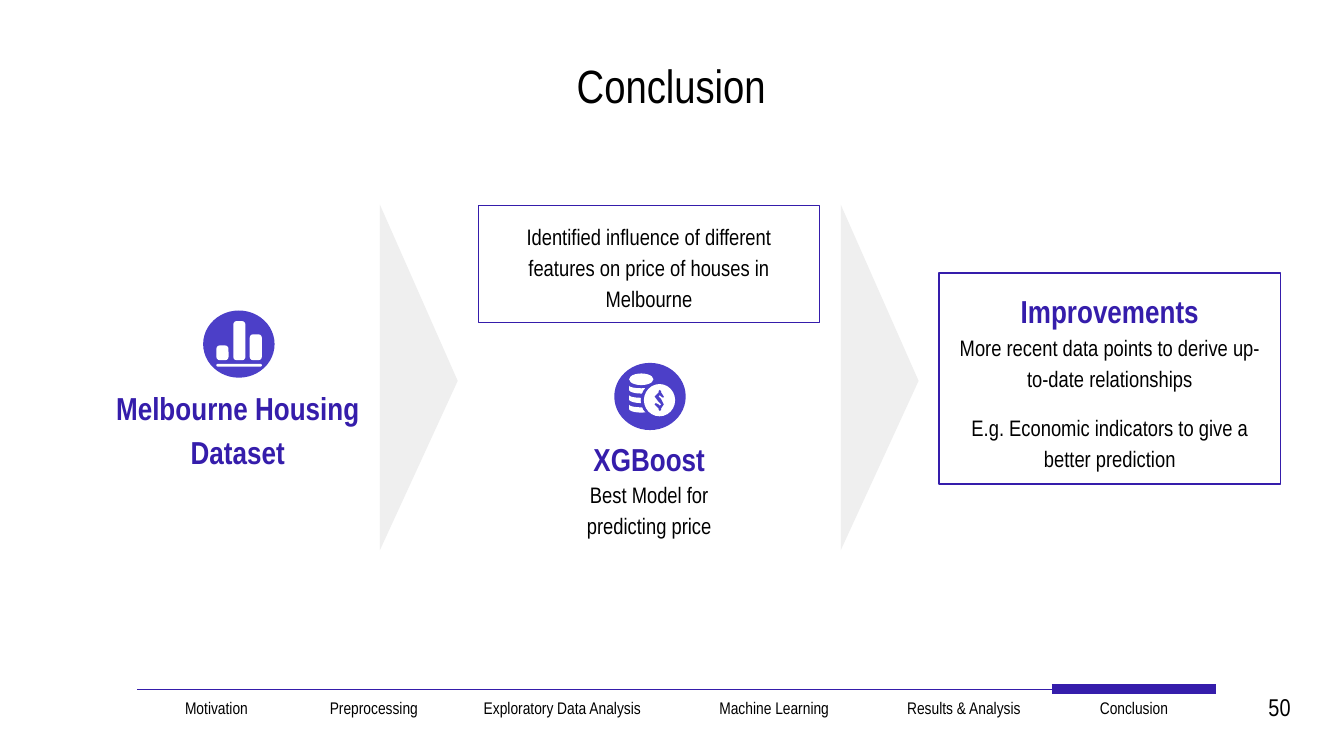
"""Build the conclusion slide with its three-step flow and section navigation."""
from dataclasses import dataclass
from math import cos, pi, sin

from lxml.etree import fromstring
from pptx import Presentation
from pptx.dml.color import RGBColor
from pptx.enum.shapes import MSO_SHAPE
from pptx.enum.text import MSO_ANCHOR, PP_ALIGN
from pptx.util import Cm, Pt


@dataclass(frozen=True)
class Theme:
    font: str = "Arial Narrow"
    ink: str = "000000"
    accent: str = "351DAB"
    icon: str = "4C3FC8"
    white: str = "FFFFFF"
    arrow: str = "EFEFEF"
    title: int = 25
    heading: int = 17
    number: int = 13
    body: int = 12
    nav: int = 9
    spacing: float = 1.15


theme = Theme()


def add_shape(shapes, kind, at, fill=None, line=None):
    """Add a preset shape at a frame given in centimetres."""
    sp = shapes.add_shape(kind, *[Cm(v) for v in at])
    sp.shadow.inherit = False
    if fill:
        sp.fill.solid()
        sp.fill.fore_color.rgb = RGBColor.from_string(fill)
    else:
        sp.fill.background()
    if line:
        sp.line.color.rgb = RGBColor.from_string(line)
        sp.line.width = Pt(0.75)
    else:
        sp.line.fill.background()
    return sp


def write(tf, lines, align=PP_ALIGN.CENTER, spacing=1.0, anchor=MSO_ANCHOR.TOP):
    """Fill a text frame from (text, size, heading, before, after) lines."""
    tf.word_wrap = True
    tf.vertical_anchor = anchor
    tf.margin_left = tf.margin_right = tf.margin_top = tf.margin_bottom = Cm(0.25)
    for i, (text, size, heading, before, after) in enumerate(lines):
        p = tf.add_paragraph() if i else tf.paragraphs[0]
        p.alignment = align
        p.line_spacing = spacing
        p.space_before, p.space_after = Pt(before), Pt(after)
        r = p.add_run()
        r.text = text
        r.font.name = theme.font
        r.font.size = Pt(size)
        r.font.bold = heading
        r.font.color.rgb = RGBColor.from_string(theme.accent if heading else theme.ink)


prs = Presentation()
prs.slide_width, prs.slide_height = Cm(25.4), Cm(14.29)
s = prs.slides.add_slide(prs.slide_layouts[5])

title = s.shapes.title
title.left, title.top, title.width, title.height = Cm(1.42), Cm(0.81), Cm(22.53), Cm(1.6)
write(title.text_frame, [("Conclusion", theme.title, False, 0, 0)], anchor=MSO_ANCHOR.MIDDLE)

sections = [
    ("Motivation", 3.0), ("Preprocessing", 2.95), ("Exploratory Data Analysis", 4.17),
    ("Machine Learning", 3.84), ("Results & Analysis", 3.33), ("Conclusion", 3.1),
]
total = sum(width for _, width in sections)
nav = s.shapes.add_table(1, len(sections), Cm(2.59), Cm(13.03), Cm(total), Cm(1.27)).table
nav.first_row = nav.horz_banding = False
ns = 'xmlns:a="http://schemas.openxmlformats.org/drawingml/2006/main"'
for i, (name, width) in enumerate(sections):
    nav.columns[i].width = Cm(width)
    cell = nav.cell(0, i)
    cell.margin_left = cell.margin_right = cell.margin_top = cell.margin_bottom = Cm(0.25)
    cell.fill.background()
    write(cell.text_frame, [(name, theme.nav, False, 0, 0)])
    weight = Pt(6) if name == "Conclusion" else Pt(0.75)
    color = f'<a:solidFill><a:srgbClr val="{theme.accent}"/></a:solidFill>'
    for j, side in enumerate("LRTB"):
        paint = color if side == "T" else "<a:noFill/>"
        border = fromstring(f'<a:ln{side} {ns} w="{int(weight)}">{paint}</a:ln{side}>')
        cell._tc.get_or_add_tcPr().insert(j, border)

number = s.shapes.add_textbox(Cm(23.5), Cm(12.83), Cm(1.14), Cm(1.27))
write(number.text_frame, [("50", theme.number, False, 0, 0)], align=PP_ALIGN.RIGHT)

finding = add_shape(s.shapes, MSO_SHAPE.RECTANGLE, (9.04, 3.89, 6.45, 2.21), line=theme.accent)
write(finding.text_frame, [
    ("Identified influence of different features on price of houses in Melbourne",
     theme.body, False, 0, 10),
], spacing=theme.spacing)

model = s.shapes.add_group_shape().shapes
tb = model.add_textbox(Cm(10.57), Cm(7.95), Cm(3.4), Cm(2.46))
write(tb.text_frame, [
    ("XGBoost", theme.heading, True, 0, 0),
    ("Best Model for predicting price", theme.body, False, 0, 0),
], spacing=theme.spacing)
add_shape(model, MSO_SHAPE.OVAL, (11.61, 6.86, 1.35, 1.27), theme.icon)

angles = [pi * k / 16 for k in range(17)]
outlines = []
for top in (7.29, 7.47, 7.65):
    upper = [(12.12 - 0.23 * cos(a), top + 0.05 * sin(a)) for a in angles]
    lower = [(12.12 + 0.23 * cos(a), top + 0.08 + 0.07 * sin(a)) for a in angles]
    outlines.append((upper + lower, theme.white))
dollar = [
    (0, -8), (1, -7), (1, -6), (3, -3), (2.5, -2), (1, -3), (0, -4), (-1, -3),
    (1, -1), (3, 3), (1, 6), (1, 7), (0, 8), (-1, 7), (-1, 6), (-4, 3),
    (-3, 2), (-1, 3), (0, 4), (1, 3), (-1, 1), (-4, -3), (-1, -6), (-1, -7),
]
outlines.append(([(12.47 + x / 40, 7.57 + y / 40) for x, y in dollar], theme.icon))
for points, color in outlines:
    if color == theme.icon:
        add_shape(model, MSO_SHAPE.OVAL, (12.11, 7.21, 0.71, 0.71), theme.icon)
        add_shape(model, MSO_SHAPE.OVAL, (12.17, 7.26, 0.59, 0.61), theme.white)
        add_shape(model, MSO_SHAPE.OVAL, (11.89, 7.06, 0.46, 0.22), theme.white)
    start, *rest = [(Cm(x), Cm(y)) for x, y in points]
    builder = model.build_freeform(*start)
    builder.add_line_segments(rest, close=True)
    sp = builder.convert_to_shape()
    sp.shadow.inherit = False
    sp.fill.solid()
    sp.fill.fore_color.rgb = RGBColor.from_string(color)
    sp.line.fill.background()

for left in (4.65, 13.36):
    arrow = add_shape(s.shapes, MSO_SHAPE.ISOSCELES_TRIANGLE, (left, 6.4, 6.53, 1.47), theme.arrow)
    arrow.rotation = 90
    arrow.adjustments[0] = 0.51

dataset = s.shapes.add_group_shape().shapes
add_shape(dataset, MSO_SHAPE.OVAL, (3.84, 5.87, 1.35, 1.27), theme.icon)
base = add_shape(dataset, MSO_SHAPE.ROUNDED_RECTANGLE, (4.09, 6.88, 0.86, 0.05), theme.white)
base.adjustments[0] = 0.5
for left, height in ((4.09, 0.28), (4.41, 0.74), (4.72, 0.49)):
    bar = add_shape(dataset, MSO_SHAPE.ROUNDED_RECTANGLE,
                    (left, 6.81 - height, 0.23, height), theme.white)
    bar.adjustments[0] = 0.28
tb = dataset.add_textbox(Cm(1.42), Cm(6.99), Cm(6.15), Cm(2.08))
write(tb.text_frame, [("Melbourne Housing Dataset", theme.heading, True, 0, 0)],
      spacing=theme.spacing)

future = add_shape(s.shapes, MSO_SHAPE.RECTANGLE, (17.75, 5.16, 6.45, 3.99), line=theme.accent)
write(future.text_frame, [
    ("Improvements", theme.heading, True, 0, 0),
    ("More recent data points to derive up-to-date relationships", theme.body, False, 0, 0),
    ("E.g. Economic indicators to give a better prediction", theme.body, False, 10, 10),
], spacing=theme.spacing)

prs.save("out.pptx")
